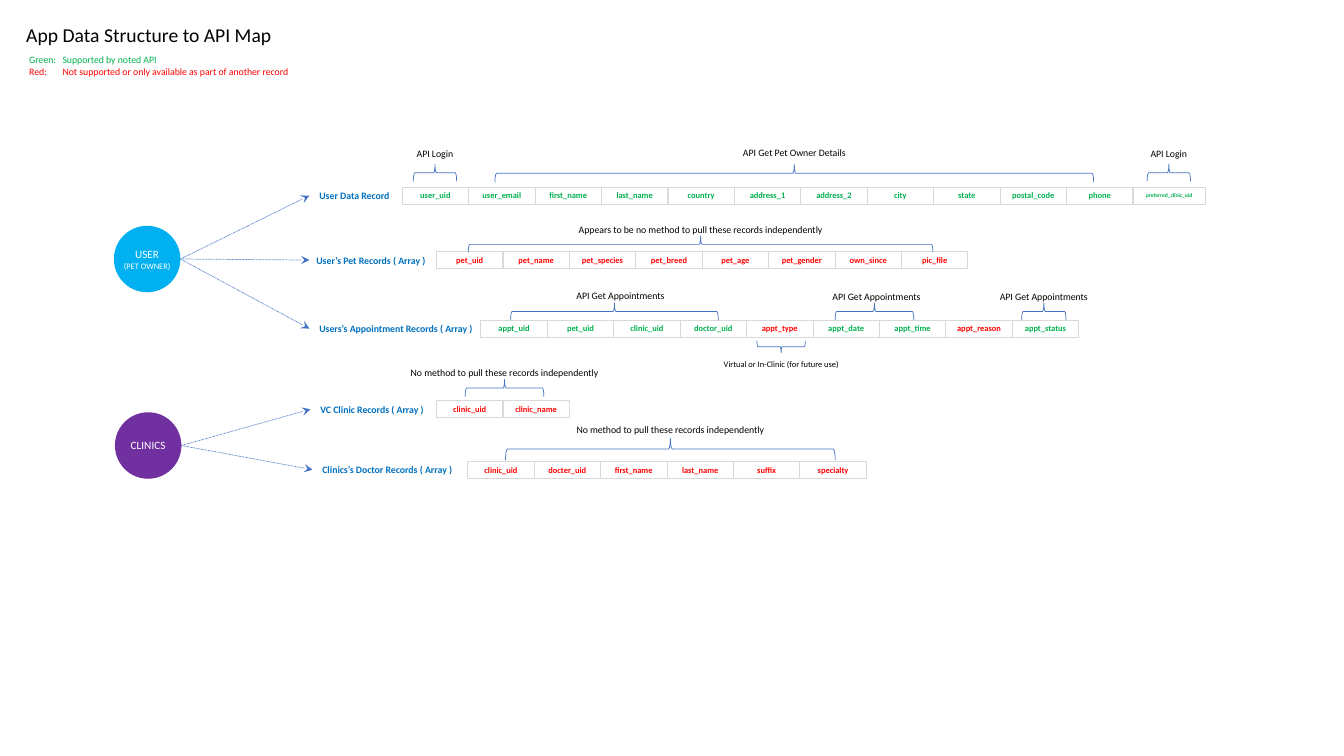
from pptx import Presentation
from pptx.dml.color import RGBColor
from pptx.enum.dml import MSO_LINE_DASH_STYLE as Dash
from pptx.enum.shapes import MSO_CONNECTOR as Connector, MSO_SHAPE as Shape
from pptx.enum.text import MSO_ANCHOR as Anchor, MSO_AUTO_SIZE as AutoSize, PP_ALIGN as Align
from pptx.oxml.ns import qn
from pptx.util import Inches, Pt
from lxml.etree import SubElement

COLORS = {
    "black": "000000", "white": "FFFFFF", "green": "00B050", "red": "FF0000",
    "label": "0070C0", "line": "4472C4", "border": "D9D9D9",
    "user": "00B0F0", "clinics": "7030A0",
}
GRID_STEP = 0.1
CELL_WIDTH, CELL_HEIGHT = 6.59, 1.7
CIRCLE_SIZE = 6.6


def grid(*steps):
    return [Inches(step * GRID_STEP) for step in steps]


def rgb(name):
    return RGBColor.from_string(COLORS[name])


class MapSlide:
    font = "Calibri"
    hairline = Pt(0.5)

    def __init__(self, slide):
        self.slide = slide
        self.shapes = slide.shapes

    def fill_text(self, shape, lines, align=Align.LEFT, bold=False, insets=(0, 0, 0, 0), wrap=False):
        frame = shape.text_frame
        frame.auto_size = AutoSize.NONE
        frame.word_wrap = wrap
        frame.vertical_anchor = Anchor.MIDDLE
        (frame.margin_left, frame.margin_top,
         frame.margin_right, frame.margin_bottom) = grid(*insets)
        for index, (words, size, color) in enumerate(lines):
            paragraph = frame.add_paragraph() if index else frame.paragraphs[0]
            paragraph.alignment = align
            paragraph.line_spacing = 1.0
            paragraph.space_before = paragraph.space_after = Pt(0)
            run = paragraph.add_run()
            run.text = words
            run.font.name, run.font.size, run.font.bold = self.font, Pt(size), bold
            run.font.color.rgb = rgb(color)

    def placeholder(self, index, box, lines):
        holder = self.slide.placeholders[index]
        holder.left, holder.top, holder.width, holder.height = grid(*box)
        self.fill_text(holder, lines, insets=(1, 0, 0, 0), wrap=True)
        return holder

    def legend(self, box, lines, hang):
        holder = self.placeholder(1, box, lines)
        for paragraph in holder.text_frame.paragraphs:
            properties = paragraph._p.get_or_add_pPr()
            indent, = grid(hang)
            properties.set("marL", str(indent))
            properties.set("indent", str(-indent))
            SubElement(properties, qn("a:buNone"))

    def text(self, box, words, size, color, **style):
        self.fill_text(self.shapes.add_textbox(*grid(*box)), [(words, size, color)], **style)

    def outline(self, kind, box, color=None, fill=None):
        shape = self.shapes.add_shape(kind, *grid(*box))
        shape.shadow.inherit = False
        if fill:
            shape.fill.solid()
            shape.fill.fore_color.rgb = rgb(fill)
        else:
            shape.fill.background()
        if color:
            shape.line.color.rgb = rgb(color)
            shape.line.width = self.hairline
        else:
            shape.line.fill.background()
        return shape

    def circle(self, left, middle, fill, lines):
        box = left, middle - CIRCLE_SIZE / 2, CIRCLE_SIZE, CIRCLE_SIZE
        self.fill_text(self.outline(Shape.OVAL, box, fill=fill), lines, align=Align.CENTER)

    def arrow(self, start, end):
        arrow = self.shapes.add_connector(Connector.STRAIGHT, *grid(*start, *end))
        arrow.line.color.rgb = rgb("line")
        arrow.line.width = self.hairline
        arrow.line.dash_style = Dash.ROUND_DOT
        SubElement(arrow.line._get_or_add_ln(), qn("a:tailEnd"), type="stealth")
        SubElement(arrow._element.spPr, qn("a:effectLst"))

    def cell(self, left, middle, width, field, size, color):
        box = left, middle - CELL_HEIGHT / 2, width, CELL_HEIGHT
        self.fill_text(self.outline(Shape.RECTANGLE, box, "border"),
                       [(field, size, color)], align=Align.CENTER, bold=True)

    def record(self, label, label_left, cells_left, middle, color, fields):
        self.text((label_left, middle - 1.1, cells_left - label_left, 2.2), label, 7, "label",
                  bold=True, insets=(1, 0, 0, 0))
        for column, field in enumerate(fields.split()):
            width, size = WIDE_FIELDS.get(field, (CELL_WIDTH, 6))
            self.cell(cells_left + column * CELL_WIDTH, middle, width, field, size,
                      "red" if field in UNSUPPORTED else color)

    def brace(self, center, middle, span, depth, rotation):
        box = center - depth / 2, middle - span / 2, depth, span
        self.outline(Shape.LEFT_BRACE, box, "line").rotation = rotation

    def caption(self, center, middle, words, size):
        width = 0.43 * len(words) + 1.9
        self.text((center - width / 2, middle - 1.1, width, 2.2), words, size, "black",
                  align=Align.CENTER)


WIDE_FIELDS = {"preferred_clinic_uid": (7.2, 4)}
UNSUPPORTED = {"appt_type", "appt_reason"}

OWNERS = [
    (11.3, 25.7, "user", [("USER", 8, "white"), ("(PET OWNER)", 6, "white")], [
        ("User Data Record", 30.7, 39.9, 19.4, "green",
         "user_uid user_email first_name last_name country address_1 address_2 "
         "city state postal_code phone preferred_clinic_uid"),
        ("User’s Pet Records ( Array )", 30.4, 43.3, 25.8, "red",
         "pet_uid pet_name pet_species pet_breed pet_age pet_gender own_since pic_file"),
        ("Users’s Appointment Records ( Array )", 30.7, 47.7, 32.6, "green",
         "appt_uid pet_uid clinic_uid doctor_uid appt_type appt_date appt_time "
         "appt_reason appt_status"),
    ]),
    (11.4, 44.2, "clinics", [("CLINICS", 8, "white")], [
        ("VC Clinic Records ( Array )", 30.8, 43.3, 40.6, "red", "clinic_uid clinic_name"),
        ("Clinics’s Doctor Records ( Array )", 31, 46.4, 46.6, "red",
         "clinic_uid docter_uid first_name last_name suffix specialty"),
    ]),
]

NO_METHOD = "No method to pull these records independently"
GET_APPOINTMENTS = "API Get Appointments"
BRACES = [
    (43.15, 17.15, 4.3, 1.7, 90, 43.15, 15.2, "API Login", 7),
    (115.95, 17.15, 4.3, 1.7, 90, 115.95, 15.2, "API Login", 7),
    (78.8, 17.2, 59.4, 1.8, 90, 78.8, 15.1, "API Get Pet Owner Details", 7),
    (69.5, 24.25, 46.1, 1.6, 90, 69.5, 22.8,
     "Appears to be no method to pull these records independently", 7),
    (60.95, 30.9, 20.6, 1.7, 90, 61.55, 29.3, GET_APPOINTMENTS, 7),
    (86.75, 30.9, 7.8, 1.7, 90, 86.95, 29.4, GET_APPOINTMENTS, 7),
    (103.55, 30.9, 4.4, 1.7, 90, 103.55, 29.4, GET_APPOINTMENTS, 7),
    (50.05, 38.5, 7.8, 1.7, 90, 50.05, 37, NO_METHOD, 7),
    (66.5, 44.55, 32.7, 2.2, 90, 66.5, 42.6, NO_METHOD, 7),
    (77.5, 34.4, 4.8, 1.2, 270, 77.5, 36.1, "Virtual or In-Clinic (for future use)", 6),
]

deck = Presentation()
deck.slide_width, deck.slide_height = grid(133.33, 75)
api_map = MapSlide(deck.slides.add_slide(deck.slide_layouts[1]))

api_map.placeholder(0, (1.6, 1.7, 26.6, 3.4), [("App Data Structure to API Map", 14, "black")])
api_map.legend((1.9, 4.8, 28.4, 3.4), [
    ("Green:\tSupported by noted API", 7, "green"),
    ("Red:\tNot supported or only available as part of another record", 7, "red"),
], hang=3.3)

for owner_left, owner_middle, fill, title, records in OWNERS:
    for record in records:
        label, label_left, cells_left, middle, *fields = record
        api_map.arrow((owner_left + CIRCLE_SIZE, owner_middle), (max(label_left, 30.7), middle))
        api_map.record(*record)
    api_map.circle(owner_left, owner_middle, fill, title)

for center, middle, span, depth, rotation, *caption in BRACES:
    api_map.brace(center, middle, span, depth, rotation)
    api_map.caption(*caption)

deck.save("out.pptx")
